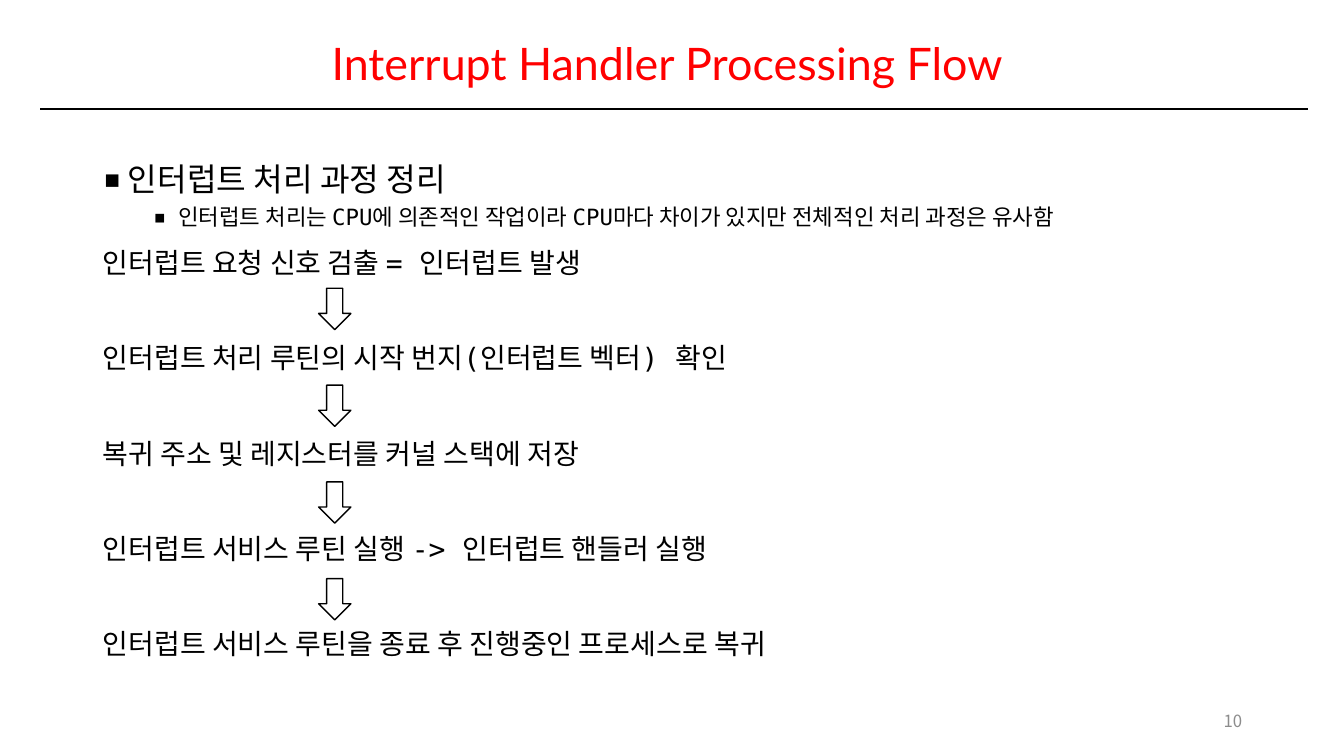
from lxml.etree import SubElement
from pptx import Presentation
from pptx.dml.color import RGBColor
from pptx.enum.shapes import MSO_CONNECTOR as Connector, MSO_SHAPE as Shape
from pptx.enum.text import MSO_ANCHOR as Anchor, PP_ALIGN as Align
from pptx.oxml.ns import qn
from pptx.util import Inches, Pt

COLORS = {"title": "FF0000", "ink": "000000", "number": "8C8C8C", "paper": "FFFFFF"}
KOREAN_FONT = "Noto Sans CJK KR"
BODY_FONT = "DejaVu Sans Mono"

STEPS = [
    "인터럽트 요청 신호 검출 = 인터럽트 발생",
    "인터럽트 처리 루틴의 시작 번지(인터럽트 벡터) 확인",
    "복귀 주소 및 레지스터를 커널 스택에 저장",
    "인터럽트 서비스 루틴 실행 -> 인터럽트 핸들러 실행",
    "인터럽트 서비스 루틴을 종료 후 진행중인 프로세스로 복귀",
]
ARROW_TOP, ARROW_PITCH = 2.86, 0.96


def color(name):
    return RGBColor.from_string(COLORS[name])


def add_box(page, left, top, width, height, anchor=Anchor.TOP):
    """Add a wrapping text box and return its text frame."""
    box = page.shapes.add_textbox(Inches(left), Inches(top), Inches(width), Inches(height))
    frame = box.text_frame
    frame.word_wrap = True
    frame.vertical_anchor = anchor
    return frame


def add_bullet(para, indent):
    """Give the paragraph a square bullet hanging left of the indent."""
    properties = para._p.get_or_add_pPr()
    properties.set("marL", str(Inches(indent)))
    properties.set("indent", str(Inches(-0.25)))
    SubElement(properties, qn("a:buFont"), typeface=BODY_FONT)
    SubElement(properties, qn("a:buChar"), char="▪")


def write(frame, text, size, font=BODY_FONT, ink="ink", align=Align.LEFT,
          line=1.0, before=0, bullet_indent=None):
    """Write one paragraph, filling the frame's first one if it is unused."""
    first = frame.paragraphs[0]
    para = frame.add_paragraph() if first.runs else first
    if bullet_indent is not None:
        add_bullet(para, bullet_indent)
    para.alignment = align
    para.line_spacing = line
    para.space_before = Pt(before)
    span = para.add_run()
    span.text = text
    span.font.name = font
    span.font.size = Pt(size)
    span.font.color.rgb = color(ink)
    SubElement(span._r.get_or_add_rPr(), qn("a:ea"), typeface=KOREAN_FONT)


def add_rule(page, left, right, top):
    rule = page.shapes.add_connector(
        Connector.STRAIGHT, Inches(left), Inches(top), Inches(right), Inches(top))
    rule.line.color.rgb = color("ink")
    rule.line.width = Pt(1.5)
    SubElement(rule._element.spPr, qn("a:effectLst"))


def add_down_arrow(page, left, top):
    arrow = page.shapes.add_shape(
        Shape.DOWN_ARROW, Inches(left), Inches(top), Inches(0.32), Inches(0.41))
    arrow.shadow.inherit = False
    arrow.fill.solid()
    arrow.fill.fore_color.rgb = color("paper")
    arrow.line.color.rgb = color("ink")
    arrow.line.width = Pt(1)


def main():
    deck = Presentation()
    deck.slide_width, deck.slide_height = Inches(13.33), Inches(7.5)
    page = deck.slides.add_slide(deck.slide_layouts[6])

    title = add_box(page, 0.92, 0.29, 11.5, 0.73, Anchor.MIDDLE)
    write(title, "Interrupt Handler Processing Flow ", 32, font="Lato", ink="title",
          align=Align.CENTER, line=0.9)
    add_rule(page, 0.4, 12.97, 1.08)
    number = add_box(page, 9.42, 6.95, 3, 0.4, Anchor.MIDDLE)
    write(number, "10", 12, font=KOREAN_FONT, ink="number", align=Align.RIGHT)

    body = add_box(page, 0.92, 1.5, 12.06, 5.26)
    write(body, "인터럽트 처리 과정 정리", 23, line=Pt(29.5), bullet_indent=0.25)
    write(body, "인터럽트 처리는 CPU에 의존적인 작업이라 CPU마다 차이가 있지만 "
          "전체적인 처리 과정은 유사함", 16, line=Pt(18.5), before=5, bullet_indent=0.75)
    for index, step in enumerate(STEPS):
        write(body, step, 20, line=Pt(25), before=43 if index else 10)

    for index in range(len(STEPS) - 1):
        add_down_arrow(page, 3.16, ARROW_TOP + index * ARROW_PITCH)

    deck.save("out.pptx")


if __name__ == "__main__":
    main()
